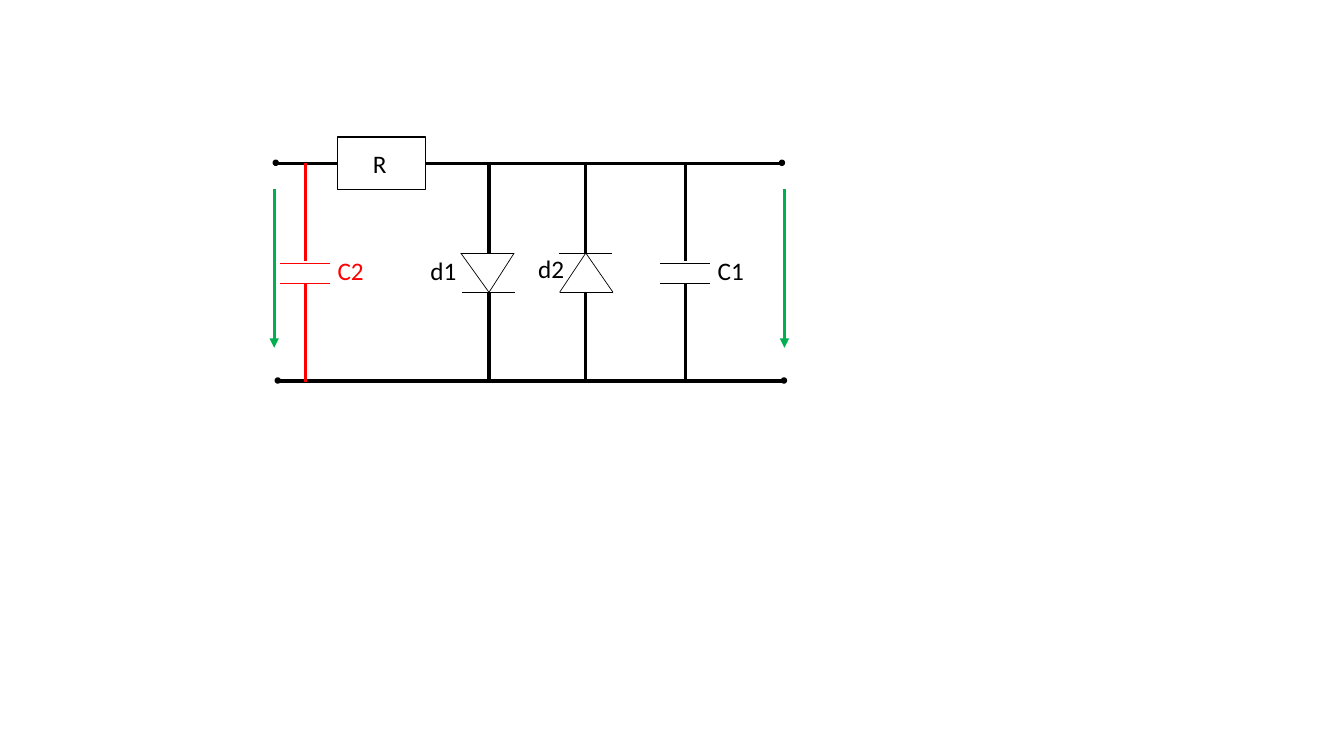
from itertools import pairwise

from lxml.etree import SubElement
from pptx import Presentation
from pptx.dml.color import RGBColor
from pptx.enum.shapes import MSO_CONNECTOR as Link, MSO_SHAPE as Shape
from pptx.enum.text import MSO_AUTO_SIZE as Fit
from pptx.oxml.ns import qn
from pptx.util import Inches, Pt

COLORS = {"ink": "000000", "extra": "FF0000", "volt": "00B050"}
THICK, THIN = 2.25, 0.5
TOP, LOW = 16.2, 37.8
LEFT, RIGHT = 27.6, 77.8


def grid(*cells):
    return [Inches(cell / 10) for cell in cells]


def color(name):
    return RGBColor.from_string(COLORS[name])


def wire(slide, x1, y1, x2, y2, tint="ink", width=THICK, arrow=False):
    line = slide.shapes.add_connector(Link.STRAIGHT, *grid(x1, y1, x2, y2))
    line.line.color.rgb = color(tint)
    line.line.width = Pt(width)
    props = line._element.spPr
    if arrow:
        SubElement(props.find(qn("a:ln")), qn("a:tailEnd"), type="triangle")
    SubElement(props, qn("a:effectLst"))
    return line


def block(slide, kind, x, y, wide, high, filled):
    shape = slide.shapes.add_shape(kind, *grid(x, y, wide, high))
    shape.shadow.inherit = False
    if filled:
        shape.fill.solid()
        shape.fill.fore_color.rgb = color("ink")
    else:
        shape.fill.background()
    shape.line.color.rgb = color("ink")
    shape.line.width = Pt(1)
    return shape


def label(slide, text, x, y, wide=4.6, tint="ink"):
    frame = slide.shapes.add_textbox(*grid(x, y, wide, 4)).text_frame
    frame.word_wrap = False
    frame.auto_size = Fit.SHAPE_TO_FIT_TEXT
    para = frame.paragraphs[0]
    para.text = text
    para.font.name = "Calibri"
    para.font.size = Pt(18)
    para.font.color.rgb = color(tint)


def diode(slide, x, left, base, tip, shift):
    right = left + 5.3
    corners = [(left, base), (right, base), (x, tip), (left, base)]
    for start, end in pairwise(corners):
        wire(slide, *start, *end, width=THIN)
    wire(slide, left + shift, tip, right + shift, tip, width=THIN)
    wire(slide, x, TOP, x, min(base, tip))
    wire(slide, x, max(base, tip), x, LOW + 0.1)


def plates(slide, x, tint="ink"):
    for row in (26.1, 28.1):
        wire(slide, x - 2.5, row, x + 2.4, row, tint, THIN)
    wire(slide, x, TOP, x, 25.9, tint)
    wire(slide, x, 28.1, x, LOW + 0.1, tint)


def main():
    deck = Presentation()
    deck.slide_width, deck.slide_height = Inches(13.33), Inches(7.5)
    slide = deck.slides.add_slide(deck.slide_layouts[6])

    nodes = [48.5, 58.1, 68, RIGHT]
    for start, end in pairwise(nodes):
        wire(slide, start, TOP, end, TOP)
    for start, end in pairwise([LEFT + 0.2] + nodes):
        wire(slide, start, LOW, end, LOW)

    ohm = block(slide, Shape.RECTANGLE, 33.5, 13.6, 8.7, 5.2, False)
    wire(slide, LEFT, TOP, 33.5, TOP).end_connect(ohm, 1)
    wire(slide, 42.2, TOP, nodes[0], TOP).begin_connect(ohm, 3)
    label(slide, "R", 36, 14.2, 3.4)

    for x in (27.1, 77.3):
        block(slide, Shape.OVAL, x, TOP - 0.3, 0.5, 0.5, True)
        block(slide, Shape.OVAL, x + 0.2, LOW - 0.3, 0.5, 0.5, True)
    for x in (27.2, RIGHT):
        wire(slide, x, 18.8, x, 34.5, "volt", arrow=True)

    diode(slide, nodes[0], 45.7, 25.1, 29, 0.1)
    diode(slide, nodes[1], 55.5, 29, 25.1, -0.1)
    label(slide, "d1", 41.7, 24.8)
    label(slide, "d2", 52.4, 24.6)

    plates(slide, nodes[2])
    label(slide, "C1", 70.2, 24.8)
    plates(slide, 30.3, "extra")
    label(slide, "C2", 32.5, 24.8, tint="extra")

    deck.save("out.pptx")


if __name__ == "__main__":
    main()
